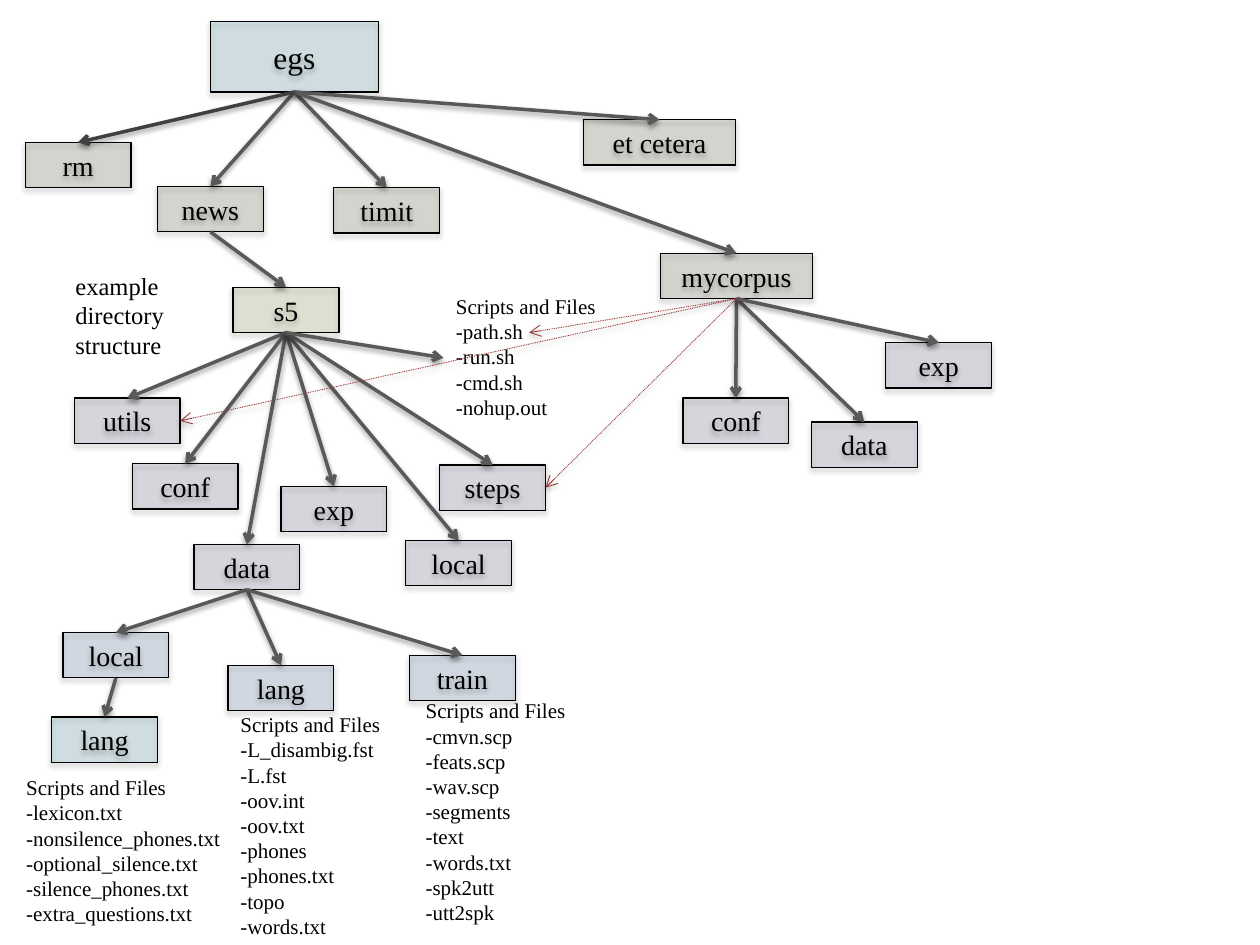
"""Build a slide showing an example directory tree with its scripts and files."""
from lxml.etree import SubElement
from pptx import Presentation
from pptx.dml.color import RGBColor
from pptx.enum.dml import MSO_LINE
from pptx.enum.shapes import MSO_CONNECTOR, MSO_SHAPE
from pptx.enum.text import MSO_ANCHOR, MSO_AUTO_SIZE, PP_ALIGN
from pptx.oxml.ns import qn
from pptx.util import Inches, Pt

THEME = {
    "font": "Times New Roman", "ink": "000000", "alpha": 17,
    "root": "31859C", "corpus": "4A452A", "recipe": "77933C",
    "part": "604A7B", "set": "376092", "leaf": "31859C",
    "child": "595959", "first": "404040", "shared": "953735",
    "root_pt": 18, "box_pt": 16, "caption_pt": 14, "files_pt": 12,
    "border_pt": 0.75, "child_pt": 2, "shared_pt": 0.5,
}
COLS, ROWS = 100, 75
ROOT, WIDE, SMALL = (13.33, 5.6), (12.1, 3.6), (8.4, 3.6)
TOP, LEFT, BOTTOM, RIGHT = range(4)

BOXES = {
    "egs": ("egs", "root", 16.7, 1.7, ROOT),
    "rm": ("rm", "corpus", 2, 11.3, SMALL),
    "timit": ("timit", "corpus", 26.5, 14.9, SMALL),
    "etc": ("et cetera", "corpus", 46.3, 9.5, WIDE),
    "news": ("news", "corpus", 12.5, 14.8, SMALL),
    "mycorpus": ("mycorpus", "corpus", 52.4, 20.1, WIDE),
    "s5": ("s5", "recipe", 18.5, 22.8, SMALL),
    "utils": ("utils", "part", 5.9, 31.6, SMALL),
    "conf": ("conf", "part", 10.5, 36.8, SMALL),
    "data": ("data", "part", 15.4, 43.2, SMALL),
    "exp": ("exp", "part", 22.3, 38.6, SMALL),
    "local": ("local", "part", 32.2, 42.9, SMALL),
    "steps": ("steps", "part", 34.9, 36.9, SMALL),
    "my conf": ("conf", "part", 54.2, 31.6, SMALL),
    "my data": ("data", "part", 64.4, 33.5, SMALL),
    "my exp": ("exp", "part", 70.3, 27.2, SMALL),
    "data local": ("local", "set", 5, 50.2, SMALL),
    "data lang": ("lang", "set", 18.1, 52.8, SMALL),
    "train": ("train", "set", 32.5, 52, SMALL),
    "local lang": ("lang", "leaf", 4.1, 56.9, SMALL),
}
CHILDREN = {
    "egs": ["timit", "news", "etc", "mycorpus"],
    "news": ["s5"],
    "s5": ["utils", "conf", "data", "exp", "local", "steps"],
    "data": ["data local", "data lang", "train"],
    "data local": ["local lang"],
    "mycorpus": ["my conf", "my data", "my exp"],
}
SPECIAL_LINKS = [
    ("egs", "rm", TOP, "first"),
    ("s5", (35.2, 28.4), None, "child"),
    ("mycorpus", "utils", RIGHT, "shared"),
    ("mycorpus", "steps", RIGHT, "shared"),
    ("mycorpus", (42, 26.4), None, "shared"),
]
HEADING = "Scripts and Files"
NOTES = [
    ("caption_pt", 5, 21, 10.9, 8.1, ["example directory structure"]),
    ("files_pt", 35.2, 22.8, 17.4, 11.1,
     [HEADING, "-path.sh", "-run.sh", "-cmd.sh", "-nohup.out"]),
    ("files_pt", 1.1, 61, 17.4, 13.1,
     [HEADING, "-lexicon.txt", "-nonsilence_phones.txt", "-optional_silence.txt",
      "-silence_phones.txt", "-extra_questions.txt"]),
    ("files_pt", 18.1, 56, 14.4, 19.2,
     [HEADING, "-L_disambig.fst", "-L.fst", "-oov.int", "-oov.txt", "-phones",
      "-phones.txt", "-topo", "-words.txt"]),
    ("files_pt", 32.8, 54.9, 14.4, 19.2,
     [HEADING, "-cmvn.scp", "-feats.scp", "-wav.scp", "-segments", "-text",
      "-words.txt", "-spk2utt", "-utt2spk"]),
]

prs = Presentation()
prs.slide_width, prs.slide_height = Inches(10), Inches(7.5)
s = prs.slides.add_slide(prs.slide_layouts[6])


def grid(x, y):
    return int(prs.slide_width * x / COLS), int(prs.slide_height * y / ROWS)


def color(name):
    return RGBColor.from_string(THEME[name])


def set_alpha(clr, percent):
    SubElement(clr, qn("a:alpha"), val=str(percent * 1000))


def add_shadow(sp, distance, percent):
    for old in sp._element.spPr.findall(qn("a:effectLst")):
        sp._element.spPr.remove(old)
    effects = SubElement(sp._element.spPr, qn("a:effectLst"))
    shadow = SubElement(effects, qn("a:outerShdw"), blurRad=str(Pt(3.1)),
                        dist=str(Pt(distance)), dir="5400000", rotWithShape="0")
    set_alpha(SubElement(shadow, qn("a:srgbClr"), val=THEME["ink"]), percent)


def add_text(tf, lines, size, align):
    tf.word_wrap = True
    for i, line in enumerate(lines):
        p = tf.add_paragraph() if i else tf.paragraphs[0]
        p.alignment = align
        r = p.add_run()
        r.text = line
        r.font.name, r.font.size = THEME["font"], Pt(THEME[size])
        r.font.color.rgb = color("ink")


def add_box(label, level, x, y, size):
    sp = s.shapes.add_shape(MSO_SHAPE.RECTANGLE, *grid(x, y), *grid(*size))
    sp.fill.solid()
    sp.fill.fore_color.rgb = color(level)
    set_alpha(sp._element.spPr.find(qn("a:solidFill"))[0], THEME["alpha"])
    sp.line.color.rgb, sp.line.width = color("ink"), Pt(THEME["border_pt"])
    add_shadow(sp, 1.8, 35)
    sp.text_frame.vertical_anchor = MSO_ANCHOR.MIDDLE
    add_text(sp.text_frame, [label], "root_pt" if level == "root" else "box_pt",
             PP_ALIGN.CENTER)
    return sp


def add_note(size, x, y, w, h, lines):
    tf = s.shapes.add_textbox(*grid(x, y), *grid(w, h)).text_frame
    tf.auto_size = MSO_AUTO_SIZE.SHAPE_TO_FIT_TEXT
    add_text(tf, lines, size, PP_ALIGN.LEFT)


def add_link(boxes, parent, target, side, kind):
    end = (0, 0) if target in boxes else grid(*target)
    link = s.shapes.add_connector(MSO_CONNECTOR.STRAIGHT, 0, 0, *end)
    link.begin_connect(boxes[parent], BOTTOM)
    if target in boxes:
        link.end_connect(boxes[target], side)
    link.line.color.rgb = color(kind)
    link.line.width = Pt(THEME["shared_pt" if kind == "shared" else "child_pt"])
    if kind == "shared":
        link.line.dash_style = MSO_LINE.ROUND_DOT
        link.line._ln.find(qn("a:prstDash")).set("val", "sysDot")
    SubElement(link.line._ln, qn("a:tailEnd"), type="arrow")
    add_shadow(link, 1.6, 38)


boxes = {name: add_box(*box) for name, box in BOXES.items()}
for note in NOTES:
    add_note(*note)
for parent, names in CHILDREN.items():
    for name in names:
        add_link(boxes, parent, name, TOP, "child")
for link in SPECIAL_LINKS:
    add_link(boxes, *link)
prs.save("out.pptx")
